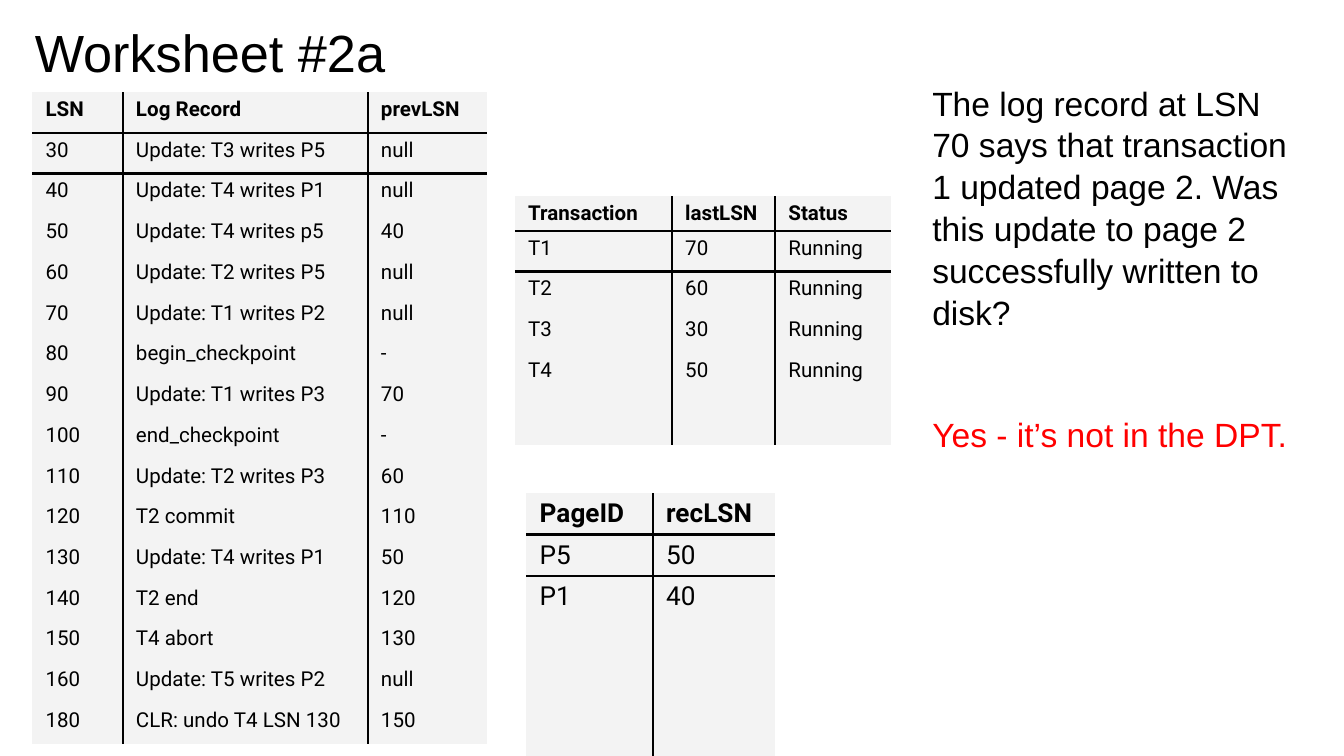
from dataclasses import dataclass

import pptx
import pptx.dml.color
import pptx.enum.text
import pptx.oxml
import pptx.oxml.ns
import pptx.util
from pptx.util import Cm


@dataclass(frozen=True)
class Theme:
    ink: str = "000000"
    answer: str = "FF0000"
    cell_fill: str = "F3F3F3"
    heading_font: str = "Arial"
    table_font: str = "Roboto"
    title_size: float = 28
    body_size: float = 18
    small_table_size: float = 11
    large_table_size: float = 14
    rule_width: float = 1.5


@dataclass(frozen=True)
class Box:
    """A region of the slide, in centimetres."""
    left: float
    top: float
    width: float
    height: float

    def lengths(self):
        return Cm(self.left), Cm(self.top), Cm(self.width), Cm(self.height)


THEME = Theme()
ROW_HEIGHT = 0.77

LOG = [
    ("LSN", "Log Record", "prevLSN"),
    ("30", "Update: T3 writes P5", "null"),
    ("40", "Update: T4 writes P1", "null"),
    ("50", "Update: T4 writes p5", "40"),
    ("60", "Update: T2 writes P5", "null"),
    ("70", "Update: T1 writes P2", "null"),
    ("80", "begin_checkpoint", "-"),
    ("90", "Update: T1 writes P3", "70"),
    ("100", "end_checkpoint", "-"),
    ("110", "Update: T2 writes P3", "60"),
    ("120", "T2 commit", "110"),
    ("130", "Update: T4 writes P1", "50"),
    ("140", "T2 end", "120"),
    ("150", "T4 abort", "130"),
    ("160", "Update: T5 writes P2", "null"),
    ("180", "CLR: undo T4 LSN 130", "150"),
]
TRANSACTIONS = [
    ("Transaction", "lastLSN", "Status"),
    ("T1", "70", "Running"),
    ("T2", "60", "Running"),
    ("T3", "30", "Running"),
    ("T4", "50", "Running"),
]
DIRTY_PAGES = [("PageID", "recLSN"), ("P5", "50"), ("P1", "40")]
QUESTION = ("The log record at LSN 70 says that transaction 1 updated page 2. "
            "Was this update to page 2 successfully written to disk?")
ANSWER = "Yes - it’s not in the DPT."


def style_font(font, name, size, color=THEME.ink, bold=False):
    font.name = name
    font.size = pptx.util.Pt(size)
    font.bold = bold
    font.color.rgb = pptx.dml.color.RGBColor.from_string(color)


def set_borders(cell, ruled_sides):
    """Rule the given sides (letters of LRTB) and clear the others."""
    properties = cell._tc.get_or_add_tcPr()
    width = int(pptx.util.Pt(THEME.rule_width))
    for position, side in enumerate("LRTB"):
        paint = "<a:noFill/>"
        if side in ruled_sides:
            paint = f'<a:solidFill><a:srgbClr val="{THEME.ink}"/></a:solidFill>'
        line = pptx.oxml.parse_xml(
            f'<a:ln{side} {pptx.oxml.ns.nsdecls("a")} w="{width}">{paint}</a:ln{side}>')
        properties.insert(position, line)


def format_cell(cell, text, size, bold):
    cell.margin_left = cell.margin_right = Cm(0.25)
    cell.margin_top = cell.margin_bottom = Cm(0.1)
    cell.fill.solid()
    cell.fill.fore_color.rgb = pptx.dml.color.RGBColor.from_string(THEME.cell_fill)
    if text:
        cell.text_frame.text = text
        style_font(cell.text_frame.paragraphs[0].runs[0].font,
                   THEME.table_font, size, bold=bold)


def add_record_table(slide, box, records, columns, size,
                     header_height=ROW_HEIGHT, blank_rows=0):
    """Add a ruled table; blank rows share the height left in the box."""
    filled = [header_height] + [ROW_HEIGHT] * (len(records) - 1)
    blank = [(box.height - sum(filled)) / blank_rows] * blank_rows if blank_rows else []
    heights = filled + blank
    rows = records + [("",) * len(columns)] * blank_rows

    table = slide.shapes.add_table(len(rows), len(columns), *box.lengths()).table
    table.first_row = table.horz_banding = False
    for column, width in zip(table.columns, columns):
        column.width = Cm(width)
    for row, height in zip(table.rows, heights):
        row.height = Cm(height)

    for i, values in enumerate(rows):
        for j, text in enumerate(values):
            cell = table.cell(i, j)
            format_cell(cell, text, size, bold=i == 0)
            sides = "L" if j > 0 else ""
            sides += "R" if j < len(columns) - 1 else ""
            sides += "T" if i in (1, 2) else ""
            sides += "B" if i in (0, 1) else ""
            set_borders(cell, sides)


def place_title(slide, box, text):
    title = slide.shapes.title
    title.left, title.top, title.width, title.height = box.lengths()
    frame = title.text_frame
    frame.text = text
    frame.word_wrap = True
    frame.vertical_anchor = pptx.enum.text.MSO_ANCHOR.TOP
    frame.margin_left = frame.margin_right = Cm(0.25)
    frame.margin_top = frame.margin_bottom = Cm(0.25)
    paragraph = frame.paragraphs[0]
    paragraph.alignment = pptx.enum.text.PP_ALIGN.LEFT
    style_font(paragraph.runs[0].font, THEME.heading_font, THEME.title_size)


def add_question(slide, box, question, answer):
    frame = slide.shapes.add_textbox(*box.lengths()).text_frame
    frame.word_wrap = True
    frame.margin_left = frame.margin_right = Cm(0.25)
    frame.margin_top = frame.margin_bottom = Cm(0.13)
    question_paragraph = frame.paragraphs[0]
    answer_paragraph = frame.add_paragraph()
    answer_paragraph.space_before = pptx.util.Pt(43)
    for paragraph, text, color in ((question_paragraph, question, THEME.ink),
                                   (answer_paragraph, answer, THEME.answer)):
        paragraph.text = text
        paragraph.line_spacing = 1.04
        style_font(paragraph.runs[0].font, THEME.heading_font, THEME.body_size, color)


def build_worksheet(presentation):
    slide = presentation.slides.add_slide(presentation.slide_layouts[5])
    add_record_table(slide, Box(0.61, 1.74, 8.6, 12.32), LOG,
                     (1.71, 4.63, 2.26), THEME.small_table_size)
    add_record_table(slide, Box(9.73, 3.71, 7.11, 4.63), TRANSACTIONS,
                     (2.97, 1.95, 2.19), THEME.small_table_size,
                     header_height=0.65, blank_rows=1)
    add_record_table(slide, Box(9.95, 9.32, 4.7, 5.01), DIRTY_PAGES,
                     (2.39, 2.31), THEME.large_table_size, blank_rows=3)
    place_title(slide, Box(0.41, 0.13, 13.46, 2.31), "Worksheet #2a")
    add_question(slide, Box(17.37, 1.4, 7.52, 9.63), QUESTION, ANSWER)


def main():
    presentation = pptx.Presentation()
    presentation.slide_width = Cm(25.4)
    presentation.slide_height = Cm(14.29)
    build_worksheet(presentation)
    presentation.save("out.pptx")


if __name__ == "__main__":
    main()
